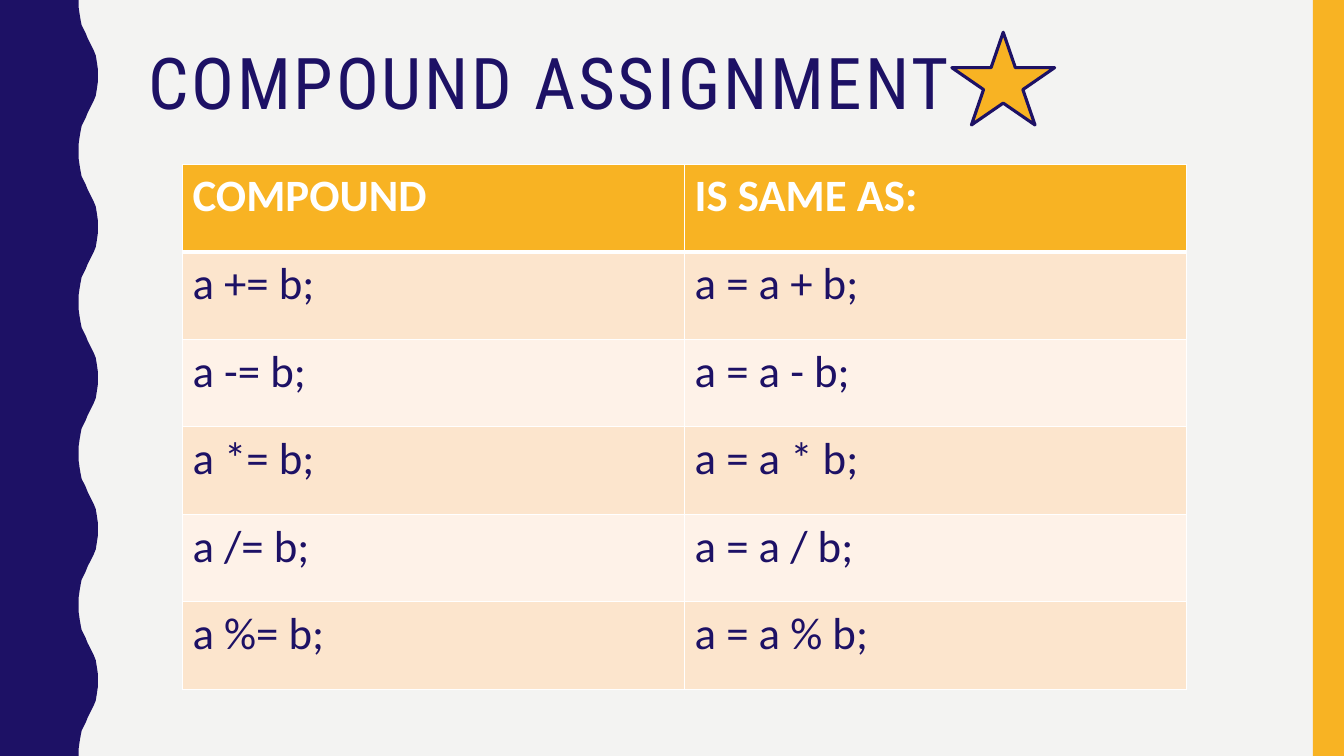
from lxml import etree
from pptx import Presentation
from pptx.dml.color import RGBColor
from pptx.enum.shapes import MSO_SHAPE
from pptx.enum.text import MSO_ANCHOR, PP_ALIGN
from pptx.oxml.ns import qn
from pptx.util import Inches, Pt

STAR, RECTANGLE = MSO_SHAPE.STAR_5_POINT, MSO_SHAPE.RECTANGLE
TOP, LEFT = MSO_ANCHOR.TOP, PP_ALIGN.LEFT

NAVY = RGBColor(0x1D, 0x11, 0x65)
GOLD = RGBColor(0xF8, 0xB3, 0x23)
PAPER = RGBColor(0xF3, 0xF3, 0xF2)
PEACH = RGBColor(0xFC, 0xE5, 0xCD)
CREAM = RGBColor(0xFE, 0xF2, 0xE8)
WHITE = RGBColor(0xFF, 0xFF, 0xFF)

WIDTH, HEIGHT = 13.33, 7.5
WAVE_PERIOD = 1.5
# Outward half of one wave, as (x, y)
WAVE_RISE = [(0.78, 0), (0.78, 0.07), (0.79, 0.14), (0.8, 0.2), (0.81, 0.25),
             (0.83, 0.29), (0.85, 0.33), (0.87, 0.38), (0.89, 0.42), (0.91, 0.46),
             (0.93, 0.5), (0.95, 0.55), (0.96, 0.61), (0.97, 0.68), (0.97, 0.75)]

HEADINGS = ("COMPOUND", "IS SAME AS:")
OPERATORS = "+-*/%"


def add_wave(page, left, top, height):
    """Navy band whose right edge repeats one mirrored wave."""
    fall = [(x, WAVE_PERIOD - y) for x, y in reversed(WAVE_RISE[:-1])]
    edge = [(x, y + wave * WAVE_PERIOD)
            for wave in range(round(height / WAVE_PERIOD))
            for x, y in WAVE_RISE + fall]
    outline = edge + [(0, height)]
    builder = page.shapes.build_freeform(Inches(left), Inches(top))
    builder.add_line_segments(
        [(Inches(left + x), Inches(top + y)) for x, y in outline], close=True)
    band = builder.convert_to_shape()
    band.shadow.inherit = False
    band.fill.solid()
    band.fill.fore_color.rgb = NAVY
    band.line.fill.background()


def add_gold_shape(page, kind, box, outline=None):
    shape = page.shapes.add_shape(kind, *map(Inches, box))
    shape.shadow.inherit = False
    shape.fill.solid()
    shape.fill.fore_color.rgb = GOLD
    if outline is None:
        shape.line.fill.background()
    else:
        shape.line.color.rgb = outline
        shape.line.width = Pt(2.25)


def format_title(page, box, words):
    title = page.shapes.title
    title.left, title.top, title.width, title.height = map(Inches, box)
    frame = title.text_frame
    frame.text = words
    frame.word_wrap = True
    frame.vertical_anchor = TOP
    para = frame.paragraphs[0]
    para.alignment = LEFT
    para.line_spacing = 0.9
    para.font.name = "Roboto Condensed"
    para.font.size = Pt(51)
    para.font.color.rgb = NAVY
    # Letter spacing, in hundredths of a point
    para.runs[0].font._element.set("spc", "200")


def set_borders(cell, widths):
    """Draw white borders; widths maps each side to points."""
    properties = cell._tc.get_or_add_tcPr()
    for position, side in enumerate("LRTB"):
        line = etree.Element(qn(f"a:ln{side}"), w=str(Pt(widths[side])))
        fill = etree.SubElement(line, qn("a:solidFill"))
        etree.SubElement(fill, qn("a:srgbClr"), val=str(WHITE))
        properties.insert(position, line)


def add_assignment_table(page, box):
    rows = [HEADINGS] + [(f"a {sign}= b;", f"a = a {sign} b;") for sign in OPERATORS]
    left, top, width, height = map(Inches, box)
    table = page.shapes.add_table(len(rows), len(HEADINGS), left, top, width, height).table
    for row_index, texts in enumerate(rows):
        is_heading = row_index == 0
        banding = PEACH if row_index % 2 else CREAM
        widths = {"L": 1, "R": 1, "T": 3 if row_index == 1 else 1,
                  "B": 3 if is_heading else 1}
        for column_index, text in enumerate(texts):
            cell = table.cell(row_index, column_index)
            cell.text = text
            cell.fill.solid()
            cell.fill.fore_color.rgb = GOLD if is_heading else banding
            set_borders(cell, widths)
            font = cell.text_frame.paragraphs[0].font
            font.name = "Calibri"
            font.size = Pt(32)
            font.bold = is_heading
            font.color.rgb = WHITE if is_heading else NAVY


def build_slide(deck):
    page = deck.slides.add_slide(deck.slide_layouts.get_by_name("Title Only"))
    page.background.fill.solid()
    page.background.fill.fore_color.rgb = PAPER
    # Side decorations
    add_wave(page, 0, 0, HEIGHT)
    add_gold_shape(page, RECTANGLE, (13.02, 0, 0.31, HEIGHT))
    # Title, table and star
    format_title(page, (1.37, 0.42, 11.13, 1.63), "COMPOUND ASSIGNMENT")
    add_assignment_table(page, (1.81, 1.63, 9.96, 5.21))
    add_gold_shape(page, STAR, (9.44, 0.32, 1.02, 0.92), NAVY)


deck = Presentation()
deck.slide_width, deck.slide_height = Inches(WIDTH), Inches(HEIGHT)
build_slide(deck)
deck.save("out.pptx")
